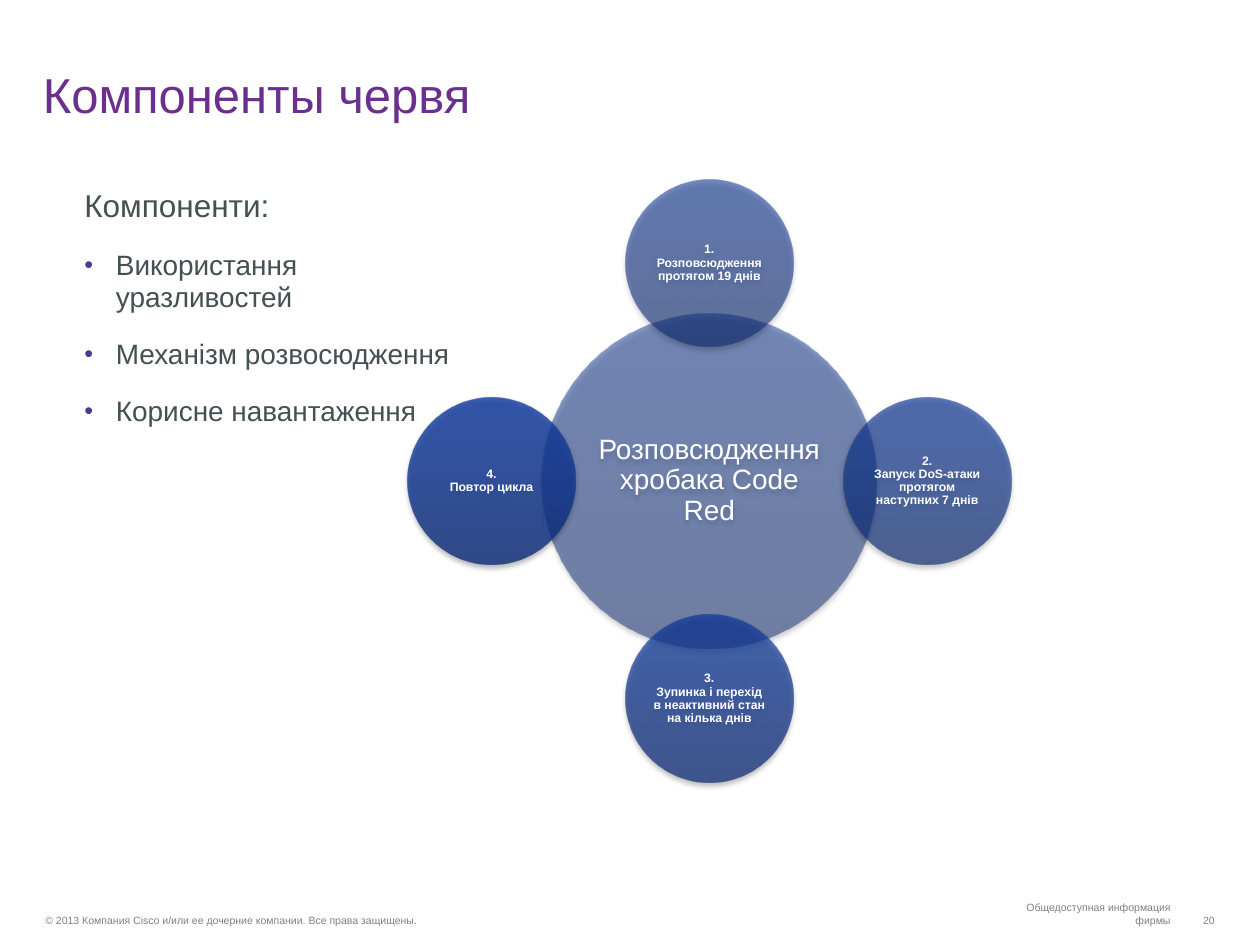
from dataclasses import dataclass

from lxml.etree import SubElement
from pptx import Presentation
from pptx.dml.color import RGBColor
from pptx.enum.shapes import MSO_SHAPE
from pptx.enum.text import MSO_ANCHOR, MSO_AUTO_SIZE, PP_ALIGN
from pptx.oxml import parse_xml
from pptx.oxml.ns import nsdecls, qn
from pptx.util import Inches, Pt


@dataclass(frozen=True)
class Theme:
    font: str = "Arial"
    title: str = "6B308E"
    body: str = "435153"
    bullet: str = "493B93"
    footer: str = "808080"
    circle_text: str = "FFFFFF"
    title_size: int = 28
    intro_size: int = 18
    list_size: int = 16
    hub_size: int = 16
    step_size: int = 7
    footer_size: int = 6


@dataclass(frozen=True)
class Circle:
    """A diagram circle; dx and dy count orbit radii from the hub's centre."""
    text: str
    dx: int
    dy: int
    colors: tuple[str, str, str]
    opacity: int


@dataclass(frozen=True)
class Footer:
    text: str
    left: float
    width: float
    align: PP_ALIGN


THEME = Theme()
WIDTH, HEIGHT = 10, 7.5
CENTER_X, CENTER_Y = 0.563 * WIDTH, 0.509 * HEIGHT
HUB_DIAMETER = 0.266 * WIDTH
STEP_DIAMETER = HUB_DIAMETER / 2
ORBIT = 0.65 * HUB_DIAMETER
GRADIENT_STOPS = (0, 80, 100)

HUB = Circle("Розповсюдження хробака Code Red", 0, 0, ("0C296F", "103690", "0E3593"), 50)
STEPS = (
    Circle("1.\nРозповсюдження протягом 19 днів", 0, -1, ("0D2B72", "113794", "0E3797"), 57),
    Circle("2.\nЗапуск DoS-атаки протягом наступних 7 днів", 1, 0,
           ("0D2C75", "113998", "0F389B"), 65),
    Circle("3.\nЗупинка і перехід в неактивний стан на кілька днів", 0, 1,
           ("0E2D78", "123B9B", "103A9F"), 72),
    Circle("4.\nПовтор цикла", -1, 0, ("0F2E7B", "133C9F", "103BA3"), 80),
)
COMPONENTS = ("Використання уразливостей", "Механізм розвосюдження", "Корисне навантаження")
FOOTERS = (
    Footer("20", 9.45, 0.28, PP_ALIGN.RIGHT),
    Footer("© 2013 Компания Cisco и/или ее дочерние компании. Все права защищены.",
           0.27, 3.74, PP_ALIGN.LEFT),
    Footer("Общедоступная информация фирмы", 7.8, 1.58, PP_ALIGN.RIGHT),
)


def place(shape, left: float, top: float, width: float, height: float) -> None:
    shape.left, shape.top = Inches(left), Inches(top)
    shape.width, shape.height = Inches(width), Inches(height)


def style(paragraph, size: int, color: str, bold: bool = False) -> None:
    font = paragraph.font
    font.name, font.size, font.bold = THEME.font, Pt(size), bold
    font.color.rgb = RGBColor.from_string(color)


def set_margins(frame, horizontal: float, vertical: float) -> None:
    frame.margin_left = frame.margin_right = Inches(horizontal)
    frame.margin_top = frame.margin_bottom = Inches(vertical)


def set_bullet(paragraph, bulleted: bool) -> None:
    properties = paragraph._p.get_or_add_pPr()
    indent = Inches(0.25) if bulleted else 0
    properties.set("marL", str(indent))
    properties.set("indent", str(-indent))
    if not bulleted:
        SubElement(properties, qn("a:buNone"))
        return
    color = SubElement(properties, qn("a:buClr"))
    SubElement(color, qn("a:srgbClr"), val=THEME.bullet)
    SubElement(properties, qn("a:buSzPct"), val="90000")
    SubElement(properties, qn("a:buFont"), typeface=THEME.font)
    SubElement(properties, qn("a:buChar"), char="•")


def set_gradient(shape, colors: tuple[str, str, str], opacity: int) -> None:
    """Fill with translucent colours that run from bottom to top."""
    stops = "".join(
        f'<a:gs pos="{stop * 1000}"><a:srgbClr val="{color}">'
        f'<a:alpha val="{opacity * 1000}"/></a:srgbClr></a:gs>'
        for stop, color in zip(GRADIENT_STOPS, colors))
    gradient = parse_xml(f'<a:gradFill {nsdecls("a")} rotWithShape="1"><a:gsLst>{stops}</a:gsLst>'
                         '<a:lin ang="16200000" scaled="0"/></a:gradFill>')
    shape.fill.background()
    properties = shape._element.spPr
    properties.replace(properties.find(qn("a:noFill")), gradient)


def set_shadow(shape) -> None:
    shape.shadow.inherit = False
    effects = shape._element.spPr.find(qn("a:effectLst"))
    effects.append(parse_xml(
        f'<a:outerShdw {nsdecls("a")} blurRad="{Pt(3.1)}" dist="{Pt(1.8)}" dir="5400000" '
        'rotWithShape="0"><a:srgbClr val="000000"><a:alpha val="35000"/></a:srgbClr>'
        '</a:outerShdw>'))


def add_circle(shapes, circle: Circle, diameter: float, size: int, bold: bool) -> None:
    left = CENTER_X + circle.dx * ORBIT - diameter / 2
    top = CENTER_Y + circle.dy * ORBIT - diameter / 2
    ellipse = shapes.add_shape(MSO_SHAPE.OVAL, Inches(left), Inches(top),
                               Inches(diameter), Inches(diameter))
    set_gradient(ellipse, circle.colors, circle.opacity)
    ellipse.line.fill.background()
    set_shadow(ellipse)
    frame = ellipse.text_frame
    frame.word_wrap, frame.vertical_anchor = True, MSO_ANCHOR.MIDDLE
    set_margins(frame, 0.01, 0.01)
    label = frame.paragraphs[0]
    label.text = circle.text
    label.alignment, label.line_spacing = PP_ALIGN.CENTER, 0.9
    style(label, size, THEME.circle_text, bold)


def add_footer(shapes, footer: Footer) -> None:
    box = shapes.add_textbox(Inches(footer.left), Inches(0.96 * HEIGHT),
                             Inches(footer.width), Inches(0.19))
    frame = box.text_frame
    frame.word_wrap, frame.vertical_anchor = True, MSO_ANCHOR.BOTTOM
    set_margins(frame, 0.09, 0.04)
    line = frame.paragraphs[0]
    line.text, line.alignment = footer.text, footer.align
    style(line, THEME.footer_size, THEME.footer)


def fill_title(title) -> None:
    place(title, 0.25, 0.11, 9.39, 0.92)
    frame = title.text_frame
    frame.auto_size, frame.vertical_anchor = MSO_AUTO_SIZE.NONE, MSO_ANCHOR.BOTTOM
    set_margins(frame, 0.09, 0.05)
    heading = frame.paragraphs[0]
    heading.text, heading.alignment = "Компоненты червя", PP_ALIGN.LEFT
    style(heading, THEME.title_size, THEME.title)


def fill_components(body) -> None:
    place(body, 0.57, 1.45, 3.23, 1.98)
    frame = body.text_frame
    frame.auto_size = MSO_AUTO_SIZE.NONE
    for index, text in enumerate(("Компоненти:", *COMPONENTS)):
        is_item = index > 0
        entry = frame.add_paragraph() if is_item else frame.paragraphs[0]
        entry.text = text
        set_bullet(entry, is_item)
        entry.line_spacing = 0.95
        entry.space_before = Pt(14.4 if is_item else 0)
        style(entry, THEME.list_size if is_item else THEME.intro_size, THEME.body)


def main() -> None:
    presentation = Presentation()
    presentation.slide_width, presentation.slide_height = Inches(WIDTH), Inches(HEIGHT)
    slide = presentation.slides.add_slide(presentation.slide_layouts[1])
    for footer in FOOTERS:
        add_footer(slide.shapes, footer)
    fill_title(slide.shapes.title)
    fill_components(slide.placeholders[1])
    cycle = slide.shapes.add_group_shape().shapes
    add_circle(cycle, HUB, HUB_DIAMETER, THEME.hub_size, bold=False)
    for step in STEPS:
        add_circle(cycle, step, STEP_DIAMETER, THEME.step_size, bold=True)
    presentation.save("out.pptx")


if __name__ == "__main__":
    main()
